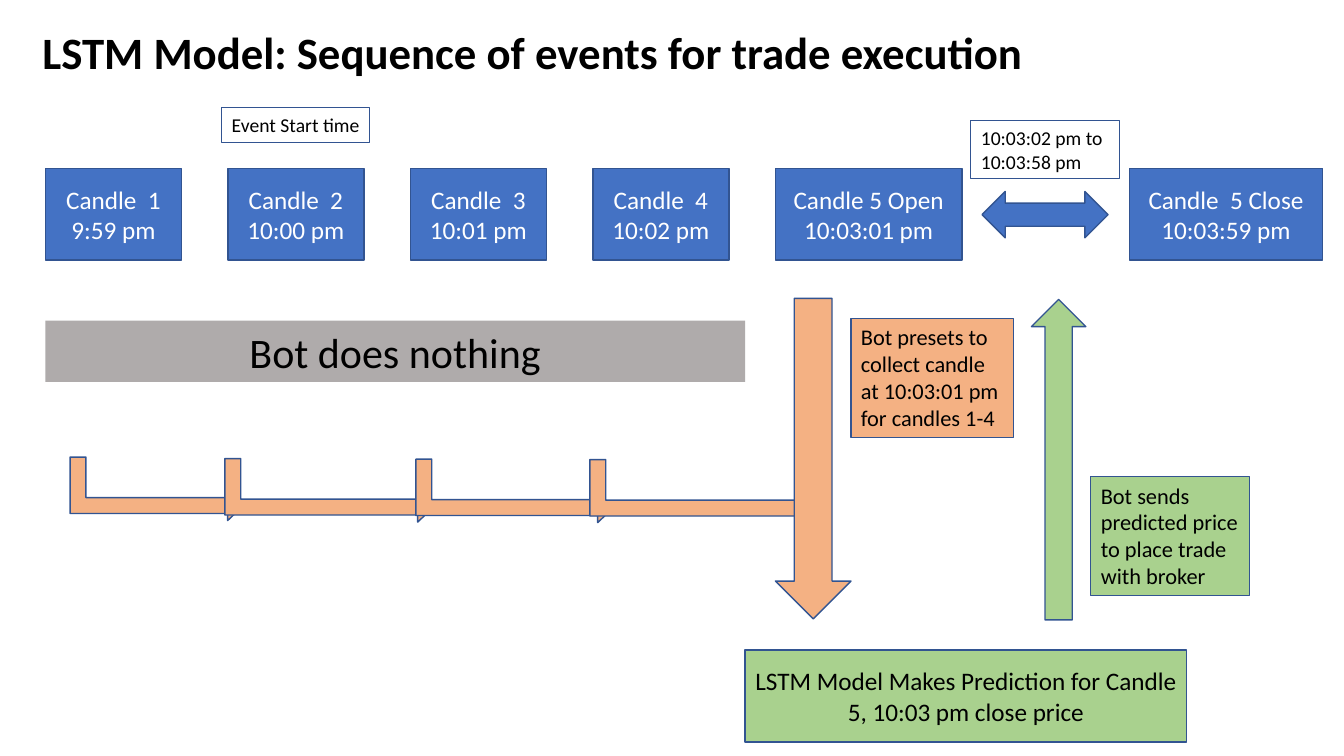
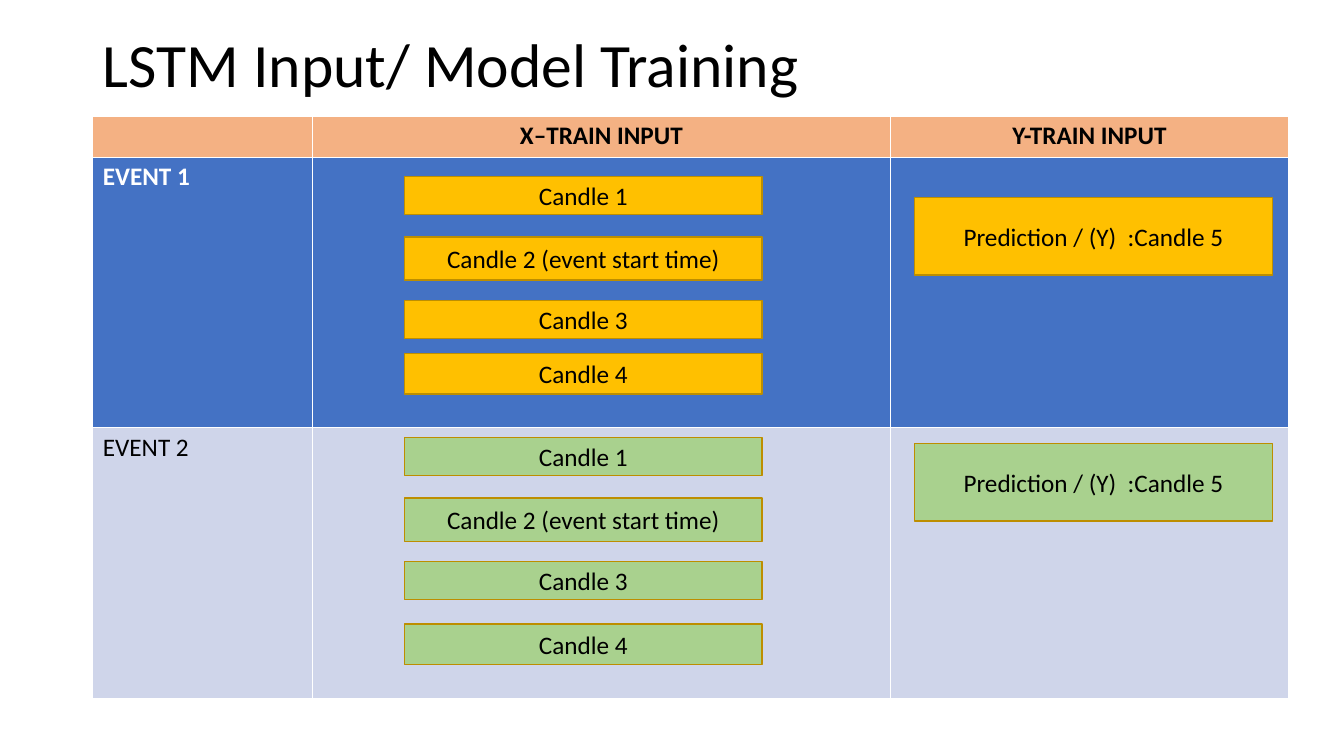
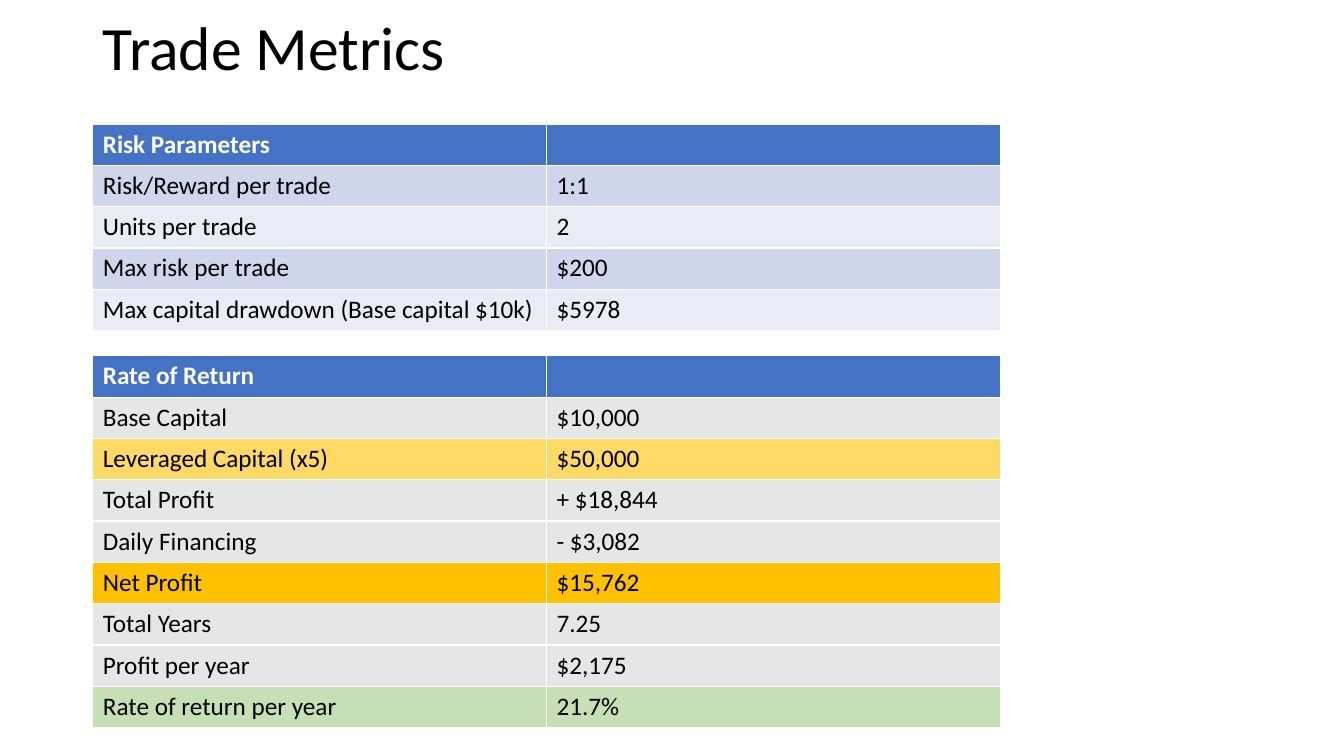
from dataclasses import dataclass
from typing import Optional

from pptx import Presentation
from pptx.dml.color import RGBColor
from pptx.enum.shapes import MSO_SHAPE as SHAPE
from pptx.enum.text import MSO_ANCHOR as ANCHOR, MSO_AUTO_SIZE as AUTO_SIZE, PP_ALIGN as ALIGN
from pptx.util import Inches, Pt

FONT = "Calibri"
BLACK = RGBColor(0x00, 0x00, 0x00)
WHITE = RGBColor(0xFF, 0xFF, 0xFF)
BLUE = RGBColor(0x44, 0x72, 0xC4)
NAVY = RGBColor(0x32, 0x54, 0x91)
PALE_BLUE = RGBColor(0xCF, 0xD5, 0xEA)
PALER_BLUE = RGBColor(0xE9, 0xEB, 0xF5)
ORANGE = RGBColor(0xF4, 0xB1, 0x83)
GREEN = RGBColor(0xA9, 0xD1, 0x8E)
PALE_GREEN = RGBColor(0xC5, 0xE0, 0xB4)
GOLD = RGBColor(0xFF, 0xC0, 0x00)
PALE_GOLD = RGBColor(0xFF, 0xD9, 0x66)
DARK_GOLD = RGBColor(0xBD, 0x8E, 0x00)
GREY = RGBColor(0xAF, 0xAB, 0xAB)
PALE_GREY = RGBColor(0xE7, 0xE6, 0xE6)

TABLE_LEFT = 0.92
ROW_HEIGHT = 0.41


@dataclass
class Block:
    """A preset shape with optional text; lengths in inches."""
    left: float
    top: float
    width: float
    height: float
    text: str = ""
    fill: Optional[RGBColor] = BLUE
    line: Optional[RGBColor] = NAVY
    weight: float = 1
    kind: SHAPE = SHAPE.RECTANGLE
    size: float = 18
    color: RGBColor = BLACK
    align: ALIGN = ALIGN.CENTER
    anchor: ANCHOR = ANCHOR.MIDDLE
    rotation: float = 0
    adjustments: tuple[float, ...] = ()


@dataclass
class Row:
    cells: tuple[str, ...]
    fill: RGBColor
    color: RGBColor = BLACK
    bold: bool = False
    align: ALIGN = ALIGN.LEFT


def style_paragraph(p, size: float, color: RGBColor, align: ALIGN, bold: bool = False) -> None:
    p.alignment = align
    p.font.name, p.font.size, p.font.bold = FONT, Pt(size), bold
    p.font.color.rgb = color


def add_titled_slide(prs, title: str, left: float, top: float, width: float, height: float,
                     size: float = 44, bold: bool = False, spacing: float = 0.9):
    slide = prs.slides.add_slide(prs.slide_layouts[5])
    sp = slide.shapes.title
    sp.left, sp.top, sp.width, sp.height = map(Inches, (left, top, width, height))
    tf = sp.text_frame
    tf.text = title
    tf.word_wrap = True
    tf.auto_size = AUTO_SIZE.NONE
    tf.vertical_anchor = ANCHOR.MIDDLE
    style_paragraph(tf.paragraphs[0], size, BLACK, ALIGN.LEFT, bold)
    tf.paragraphs[0].line_spacing = spacing
    return slide


def add_block(slide, block: Block) -> None:
    sp = slide.shapes.add_shape(block.kind, *map(Inches, (block.left, block.top,
                                                         block.width, block.height)))
    sp.shadow.inherit = False
    sp.rotation = block.rotation
    for i, value in enumerate(block.adjustments):
        sp.adjustments[i] = value
    if block.fill is None:
        sp.fill.background()
    else:
        sp.fill.solid()
        sp.fill.fore_color.rgb = block.fill
    if block.line is None:
        sp.line.fill.background()
    else:
        sp.line.color.rgb = block.line
        sp.line.width = Pt(block.weight)
    if block.text:
        tf = sp.text_frame
        tf.text = block.text
        tf.word_wrap = True
        tf.vertical_anchor = block.anchor
        for p in tf.paragraphs:
            style_paragraph(p, block.size, block.color, block.align)


def note(left: float, top: float, width: float, height: float, text: str,
         fill: Optional[RGBColor] = None, size: float = 14) -> Block:
    return Block(left, top, width, height, text, fill, weight=0.75, size=size,
                 align=ALIGN.LEFT, anchor=ANCHOR.TOP)


def add_grid(slide, top: float, widths: tuple[float, ...], rows: list[Row],
             row_height: float = ROW_HEIGHT) -> None:
    """The default table style supplies the white rules and the thick one below row one."""
    table = slide.shapes.add_table(len(rows), len(widths), Inches(TABLE_LEFT), Inches(top),
                                   Inches(sum(widths)), Inches(row_height * len(rows))).table
    for column, width in zip(table.columns, widths):
        column.width = Inches(width)
    for r, row in enumerate(rows):
        table.rows[r].height = Inches(row_height)
        for c, text in enumerate(row.cells):
            cell = table.cell(r, c)
            cell.fill.solid()
            cell.fill.fore_color.rgb = row.fill
            cell.text = text
            style_paragraph(cell.text_frame.paragraphs[0], 18, row.color, row.align, row.bold)


def build_sequence(prs) -> None:
    slide = add_titled_slide(prs, "LSTM Model: Sequence of events for trade execution",
                             0.32, 0.19, 11.57, 0.64, size=32, bold=True, spacing=1.0)
    # Candle timeline
    first, pitch = 0.45, 1.81
    candles = [(first + i * pitch, 1.35, f"Candle  {i + 1}\n{time} pm")
               for i, time in enumerate(("9:59", "10:00", "10:01", "10:02"))]
    candles += [(first + 4 * pitch, 1.85, "Candle 5 Open\n10:03:01 pm"),
                (11.2, 1.92, "Candle  5 Close\n10:03:59 pm")]
    for left, width, text in candles:
        add_block(slide, Block(left, 1.67, width, 0.91, text, color=WHITE))

    # Elbow arrows collecting candles 1-4
    for left, top, height in ((1.24, 3.99, 1.72), (2.95, 3.83, 2.07),
                              (4.79, 3.89, 1.96), (6.65, 3.76, 2.23)):
        add_block(slide, Block(left, top, 0.63, height, fill=ORANGE, kind=SHAPE.BENT_UP_ARROW,
                               rotation=90, adjustments=(0.25, 0.236, 0.25)))

    # Bot activity, prediction and notes
    for block in (
        Block(0.45, 3.18, 6.94, 0.61, "Bot does nothing", GREY, line=None, size=30),
        Block(7.69, 2.96, 0.75, 3.18, fill=ORANGE, kind=SHAPE.DOWN_ARROW),
        Block(10.23, 2.97, 0.54, 3.18, fill=GREEN, kind=SHAPE.UP_ARROW),
        Block(9.74, 1.9, 1.25, 0.46, kind=SHAPE.LEFT_RIGHT_ARROW),
        Block(7.39, 6.45, 4.38, 0.91,
              "LSTM Model Makes Prediction for Candle 5, 10:03 pm close price", GREEN),
        note(2.2, 1.07, 1.47, 0.34, "Event Start time"),
        note(9.63, 1.2, 1.47, 0.57, "10:03:02 pm to\n10:03:58 pm"),
        note(8.44, 3.16, 1.61, 1.18,
             "Bot presets to collect candle at 10:03:01 pm for candles 1-4", ORANGE, 16),
        note(10.82, 4.73, 1.57, 1.18,
             "Bot sends predicted price to place trade with broker", GREEN, 16),
    ):
        add_block(slide, block)


def build_training(prs) -> None:
    slide = add_titled_slide(prs, "LSTM Input/ Model Training", 0.92, -0.05, 11.5, 1.45)
    widths = (2.18, 5.73, 3.95)
    add_grid(slide, 1.55, widths, [Row(("EVENT 1", "", ""), BLUE, WHITE, True),
                                   Row(("EVENT 2", "", ""), PALE_BLUE)], row_height=2.69)
    add_grid(slide, 1.15, widths, [Row(("", "X–TRAIN INPUT", "Y-TRAIN INPUT"), ORANGE,
                                       bold=True, align=ALIGN.CENTER)])
    # Training candles and prediction of each event
    inputs = (("Candle 1", 0.38), ("Candle 2 (event start time)", 0.43),
              ("Candle 3", 0.38), ("Candle 4", 0.4))
    for fill, tops, prediction_top in ((GOLD, (1.75, 2.35, 2.98, 3.51), 1.96),
                                       (GREEN, (4.34, 4.94, 5.57, 6.19), 4.4)):
        for top, (text, height) in zip(tops, inputs):
            add_block(slide, Block(4.01, top, 3.55, height, text, fill, DARK_GOLD))
        add_block(slide, Block(9.07, prediction_top, 3.55, 0.77,
                               "Prediction / (Y)  :Candle 5", fill, DARK_GOLD))


def build_metrics(prs) -> None:
    slide = add_titled_slide(prs, "Trade Metrics", 0.92, -0.22, 11.5, 1.45)
    widths = (4.5, 4.5)
    add_grid(slide, 1.23, widths, [
        Row(("Risk Parameters", ""), BLUE, WHITE, True),
        Row(("Risk/Reward per trade", "1:1"), PALE_BLUE),
        Row(("Units per trade", "2"), PALER_BLUE),
        Row(("Max risk per trade", "$200"), PALE_BLUE),
        Row(("Max capital drawdown (Base capital $10k)", "$5978"), PALER_BLUE),
    ])
    add_grid(slide, 3.53, widths, [
        Row(("Rate of Return", ""), BLUE, WHITE, True),
        Row(("Base Capital", "$10,000"), PALE_GREY),
        Row(("Leveraged Capital (x5)", "$50,000"), PALE_GOLD),
        Row(("Total Profit", "+ $18,844"), PALE_GREY),
        Row(("Daily Financing", "- $3,082"), PALE_GREY),
        Row(("Net Profit", "$15,762"), GOLD),
        Row(("Total Years", "7.25"), PALE_GREY),
        Row(("Profit per year", "$2,175"), PALE_GREY),
        Row(("Rate of return per year", "21.7%"), PALE_GREEN),
    ])


def main() -> None:
    prs = Presentation()
    prs.slide_width, prs.slide_height = Inches(13.33), Inches(7.5)
    build_sequence(prs)
    build_training(prs)
    build_metrics(prs)
    prs.save("out.pptx")


if __name__ == "__main__":
    main()
